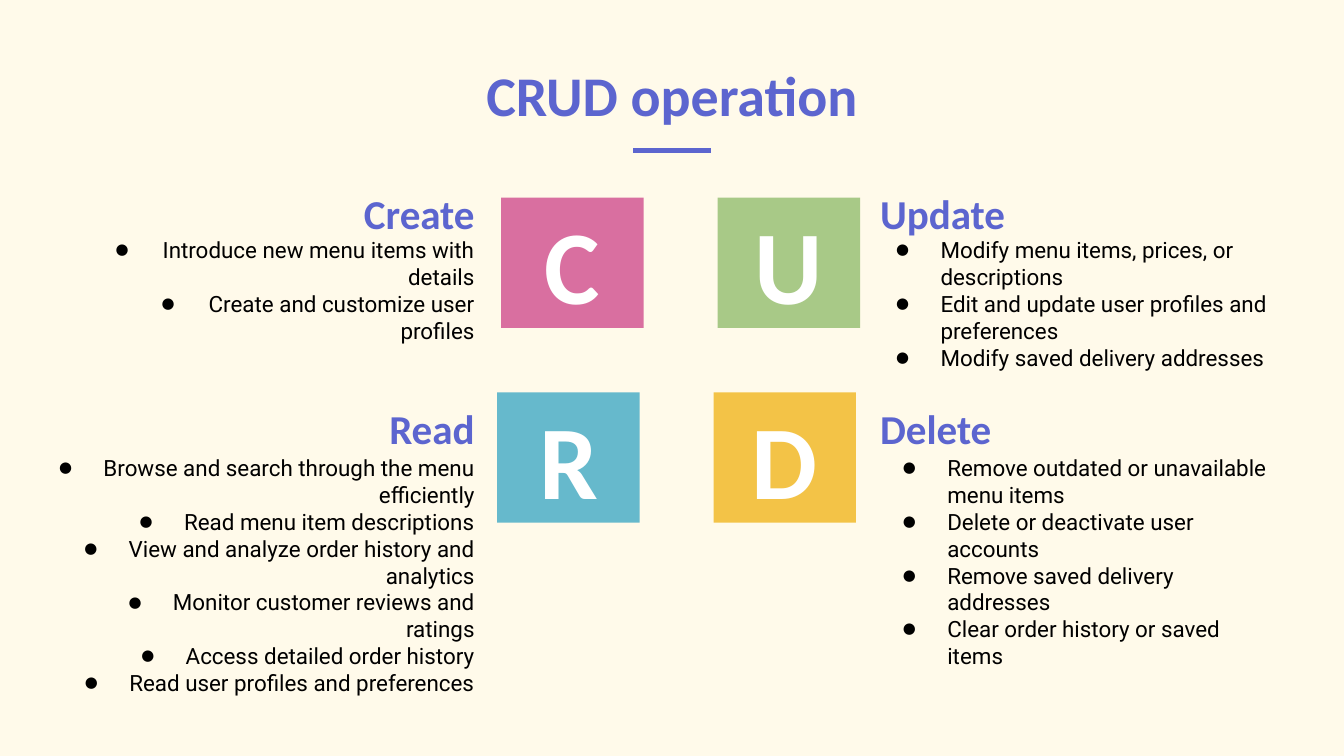
from dataclasses import dataclass

from lxml.etree import SubElement
from pptx import Presentation
from pptx.dml.color import RGBColor
from pptx.enum.shapes import MSO_CONNECTOR, MSO_SHAPE
from pptx.enum.text import MSO_ANCHOR, MSO_AUTO_SIZE, PP_ALIGN
from pptx.oxml.ns import qn
from pptx.shapes.base import BaseShape
from pptx.slide import Slide
from pptx.text.text import _Paragraph as Paragraph
from pptx.util import Inches, Pt

ACCENT = "5C65CF"
BLACK = "000000"
HEADING_WIDTH, HEADING_HEIGHT = 2.65, 0.82
TILE_WIDTH, TILE_HEIGHT = 1.06, 0.97


@dataclass(frozen=True)
class Operation:
    """One CRUD operation with its tile, heading and bulleted details."""

    name: str
    color: str
    tile_position: tuple[float, float]
    heading_position: tuple[float, float]
    details_box: tuple[float, float, float, float]
    alignment: PP_ALIGN
    details: tuple[str, ...]
    hanging: float = 0.33


OPERATIONS = (
    Operation("Create", "D96FA0", (3.73, 1.47), (0.98, 1.05), (0.37, 1.66, 3.26, 1.17), PP_ALIGN.RIGHT, (
        "Introduce new menu items with details",
        "Create and customize user profiles",
    ), 0.35),
    Operation("Read", "66B9CC", (3.7, 2.92), (0.98, 2.65), (0.14, 3.28, 3.49, 2.67), PP_ALIGN.RIGHT, (
        "Browse and search through the menu efficiently",
        "Read menu item descriptions",
        "View and analyze order history and analytics",
        "Monitor customer reviews and ratings",
        "Access detailed order history",
        "Read user profiles and preferences",
    )),
    Operation("Update", "A8C987", (5.34, 1.47), (6.45, 1.05), (6.4, 1.66, 3.26, 1.35), PP_ALIGN.LEFT, (
        "Modify menu items, prices, or descriptions",
        "Edit and update user profiles and preferences",
        "Modify saved delivery addresses",
    )),
    Operation("Delete", "F3C347", (5.31, 2.92), (6.45, 2.65), (6.45, 3.28, 3.09, 2.13), PP_ALIGN.LEFT, (
        "Remove outdated or unavailable menu items",
        "Delete or deactivate user accounts",
        "Remove saved delivery addresses",
        "Clear order history or saved items",
    )),
)


def rgb(color: str) -> RGBColor:
    """Turn a hex string into a color."""
    return RGBColor.from_string(color)


def format_frame(shape: BaseShape, anchor: MSO_ANCHOR) -> None:
    """Set the wrapping, anchor and margins of a text frame."""
    values = {
        "word_wrap": True,
        "auto_size": MSO_AUTO_SIZE.NONE,
        "vertical_anchor": anchor,
        **{f"margin_{side}": Inches(0.1) for side in ("left", "top", "right", "bottom")},
    }
    for name, value in values.items():
        setattr(shape.text_frame, name, value)


def write(paragraph: Paragraph, text: str, size: float, color: str, alignment: PP_ALIGN,
          font_name: str = "Calibri", bold: bool = True) -> None:
    """Add one formatted run to a paragraph."""
    paragraph.alignment = alignment
    run = paragraph.add_run()
    run.text = text
    for name, value in {"name": font_name, "size": Pt(size), "bold": bold}.items():
        setattr(run.font, name, value)
    run.font.color.rgb = rgb(color)


def add_bullet(paragraph: Paragraph, hanging: float) -> None:
    """Give a paragraph a small round bullet with a hanging indent."""
    properties = paragraph._p.get_or_add_pPr()
    properties.set("marL", str(Inches(0.5)))
    properties.set("indent", str(-Inches(hanging)))
    bullet_color = SubElement(properties, qn("a:buClr"))
    SubElement(bullet_color, qn("a:srgbClr"), val=BLACK)
    SubElement(properties, qn("a:buSzPct"), val="67000")
    SubElement(properties, qn("a:buFont"), typeface="Roboto")
    SubElement(properties, qn("a:buChar"), char="●")


def add_title(slide: Slide, text: str) -> None:
    """Place the slide title and the short rule beneath it."""
    title = slide.shapes.title
    box = {"left": 0.78, "top": 0.22, "width": 8.44, "height": 0.83}
    for name, value in box.items():
        setattr(title, name, Inches(value))
    format_frame(title, MSO_ANCHOR.BOTTOM)
    write(title.text_frame.paragraphs[0], text, 30, ACCENT, PP_ALIGN.CENTER)
    rule = slide.shapes.add_connector(
        MSO_CONNECTOR.STRAIGHT, Inches(4.71), Inches(1.12), Inches(5.29), Inches(1.12))
    rule.line.color.rgb = rgb(ACCENT)
    rule.line.width = Pt(3)
    SubElement(rule._element.spPr, qn("a:effectLst"))


def add_heading(slide: Slide, operation: Operation) -> None:
    """Add the heading of an operation."""
    box = (*operation.heading_position, HEADING_WIDTH, HEADING_HEIGHT)
    heading = slide.shapes.add_textbox(*map(Inches, box))
    format_frame(heading, MSO_ANCHOR.BOTTOM)
    write(heading.text_frame.paragraphs[0], operation.name, 22, ACCENT, operation.alignment)


def add_details(slide: Slide, operation: Operation) -> None:
    """Add the bulleted details of an operation."""
    details_shape = slide.shapes.add_textbox(*map(Inches, operation.details_box))
    format_frame(details_shape, MSO_ANCHOR.TOP)
    frame = details_shape.text_frame
    for index, detail in enumerate(operation.details):
        paragraph = frame.add_paragraph() if index else frame.paragraphs[0]
        add_bullet(paragraph, operation.hanging)
        write(paragraph, detail, 12, BLACK, operation.alignment, "Roboto", False)


def add_tile(slide: Slide, operation: Operation) -> None:
    """Add the colored tile with the initial of an operation."""
    box = (*operation.tile_position, TILE_WIDTH, TILE_HEIGHT)
    tile = slide.shapes.add_shape(MSO_SHAPE.RECTANGLE, *map(Inches, box))
    tile.shadow.inherit = False
    tile.fill.solid()
    tile.fill.fore_color.rgb = rgb(operation.color)
    tile.line.fill.background()
    format_frame(tile, MSO_ANCHOR.MIDDLE)
    write(tile.text_frame.paragraphs[0], operation.name[0], 56, "FFFFFF", PP_ALIGN.CENTER)


def main() -> None:
    """Build and save the slide."""
    presentation = Presentation()
    presentation.slide_width = Inches(10)
    presentation.slide_height = presentation.slide_width * 9 // 16
    slide = presentation.slides.add_slide(presentation.slide_layouts[5])
    slide.background.fill.solid()
    slide.background.fill.fore_color.rgb = rgb("FFFAEA")
    add_title(slide, "CRUD operation")
    for operation in OPERATIONS:
        add_heading(slide, operation)
        add_details(slide, operation)
        add_tile(slide, operation)
    presentation.save("out.pptx")


if __name__ == "__main__":
    main()
